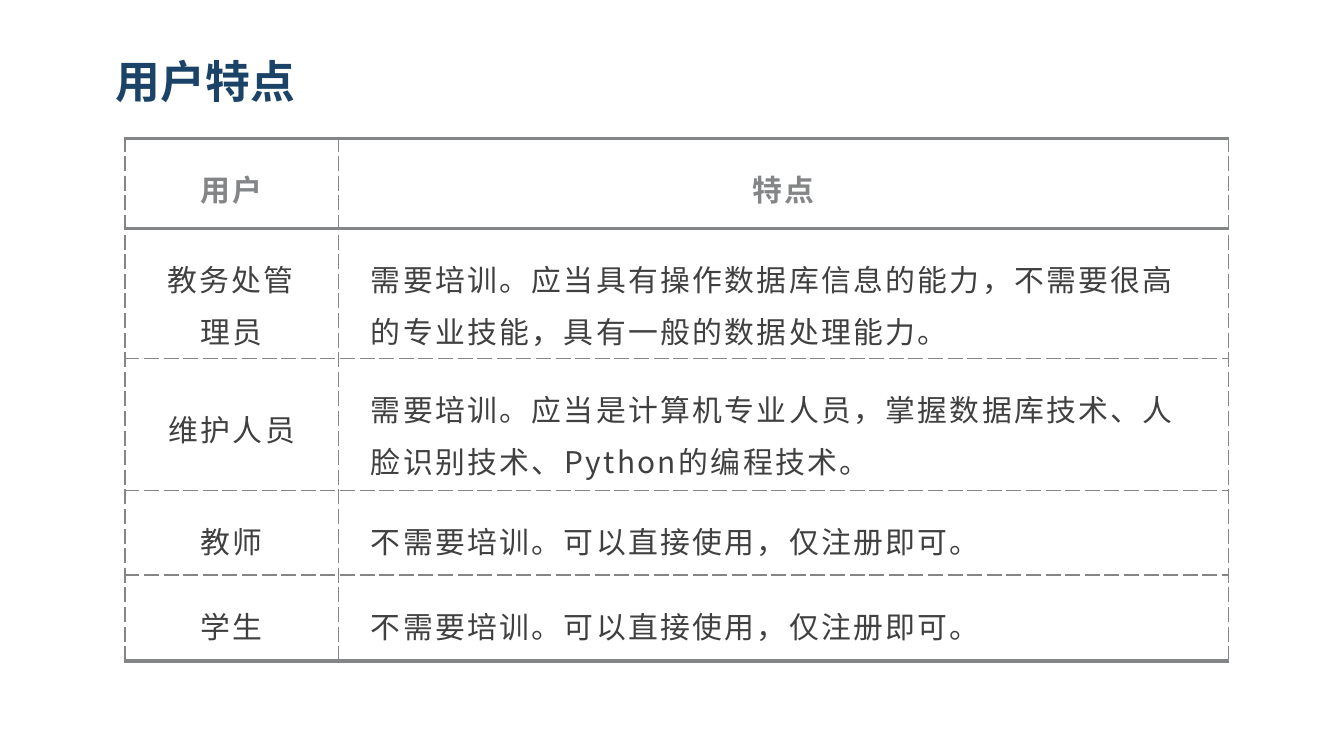
import pptx
import pptx.dml.color
import pptx.enum.text
import pptx.oxml.ns
import pptx.util
from lxml import etree

Inches = pptx.util.Inches
Pt = pptx.util.Pt
qn = pptx.oxml.ns.qn
CENTER = pptx.enum.text.PP_ALIGN.CENTER
LEFT = pptx.enum.text.PP_ALIGN.LEFT
MIDDLE = pptx.enum.text.MSO_ANCHOR.MIDDLE


def color(hex_code):
    return pptx.dml.color.RGBColor.from_string(hex_code)


class SlideBuilder:
    font_name = "Noto Sans CJK SC"
    navy = "1B4367"
    gray = "848587"
    dark = "404040"
    white = "FFFFFF"

    def __init__(self, slide):
        self.slide = slide

    def style(self, paragraph, size, hex_code, bold, spacing=0):
        font = paragraph.font
        font.size = Pt(size)
        font.bold = bold
        font.color.rgb = color(hex_code)
        font.name = self.font_name
        properties = paragraph._p.pPr.find(qn("a:defRPr"))
        etree.SubElement(properties, qn("a:ea"), typeface=self.font_name)
        if spacing:
            properties.set("spc", str(round(spacing * 100)))

    def title(self, text, left, top, width, height):
        box = self.slide.shapes.add_textbox(
            Inches(left), Inches(top), Inches(width), Inches(height))
        frame = box.text_frame
        frame.margin_left = frame.margin_right = Inches(0.07)
        frame.margin_top = frame.margin_bottom = Inches(0.04)
        frame.text = text
        self.style(frame.paragraphs[0], 24, self.navy, True)

    def border(self, cell, side, solid):
        line = etree.SubElement(cell._tc.get_or_add_tcPr(), qn(f"a:ln{side}"),
                                w=str(Pt(2.25 if solid else 0.75)))
        fill = etree.SubElement(line, qn("a:solidFill"))
        etree.SubElement(fill, qn("a:srgbClr"), val=self.gray)
        etree.SubElement(line, qn("a:prstDash"), val="solid" if solid else "sysDash")

    def cell(self, cell, text, header, centered, solid_sides):
        cell.margin_left = cell.margin_right = Inches(0.24)
        cell.margin_top = cell.margin_bottom = Inches(0.15)
        cell.vertical_anchor = MIDDLE
        for side in "LRTB":
            self.border(cell, side, side in solid_sides)
        cell.fill.solid()
        cell.fill.fore_color.rgb = color(self.white)
        cell.text = text
        paragraph = cell.text_frame.paragraphs[0]
        paragraph.alignment = CENTER if centered else LEFT
        paragraph.line_spacing = 1.2
        self.style(paragraph, 16, self.gray if header else self.dark, header, 1.3)

    def table(self, rows, left, top, widths, heights):
        table = self.slide.shapes.add_table(
            len(rows), len(widths), Inches(left), Inches(top),
            Inches(sum(widths)), Inches(sum(heights))).table
        table.first_row = table.horz_banding = False
        for column, width in zip(table.columns, widths):
            column.width = Inches(width)
        solid_sides = {0: "TB", 1: "T", len(rows) - 1: "B"}
        for r, (texts, height) in enumerate(zip(rows, heights)):
            table.rows[r].height = Inches(height)
            for c, text in enumerate(texts):
                self.cell(table.cell(r, c), text, r == 0, r == 0 or c == 0,
                          solid_sides.get(r, ""))


def main():
    presentation = pptx.Presentation()
    presentation.slide_width = Inches(10)
    presentation.slide_height = Inches(10 * 9 / 16)
    builder = SlideBuilder(
        presentation.slides.add_slide(presentation.slide_layouts[6]))
    builder.title("用户特点", 0.79, 0.36, 1.49, 0.48)
    user_traits = [
        ("用户", "特点"),
        ("教务处管理员", "需要培训。应当具有操作数据库信息的能力，不需要很高的专业技能，具有一般的数据处理能力。"),
        ("维护人员", "需要培训。应当是计算机专业人员，掌握数据库技术、人脸识别技术、Python的编程技术。"),
        ("教师", "不需要培训。可以直接使用，仅注册即可。"),
        ("学生", "不需要培训。可以直接使用，仅注册即可。"),
    ]
    builder.table(user_traits, 0.93, 1.03, [1.59, 6.62],
                  [0.67, 0.97, 0.98, 0.63, 0.64])
    presentation.save("out.pptx")


if __name__ == "__main__":
    main()
